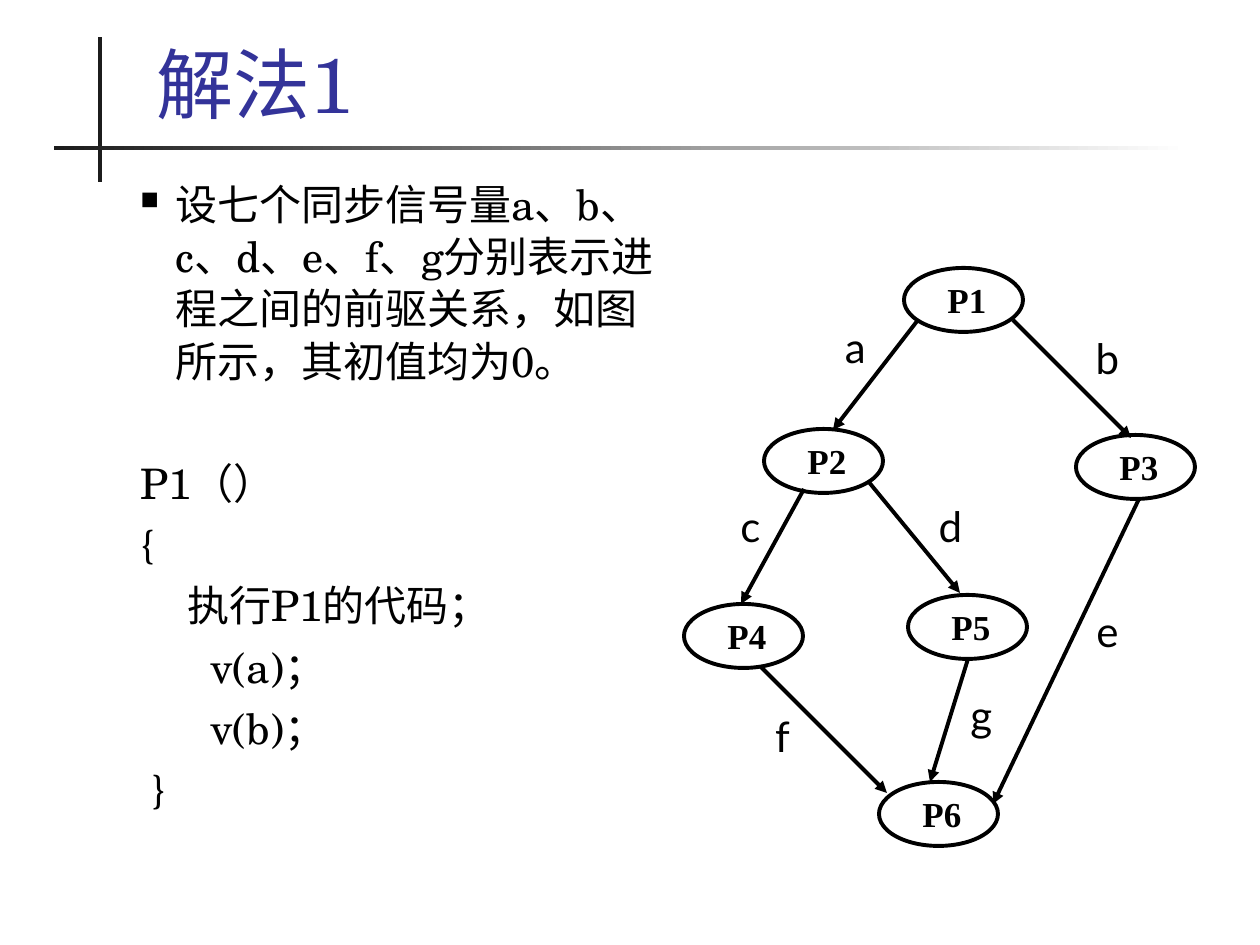
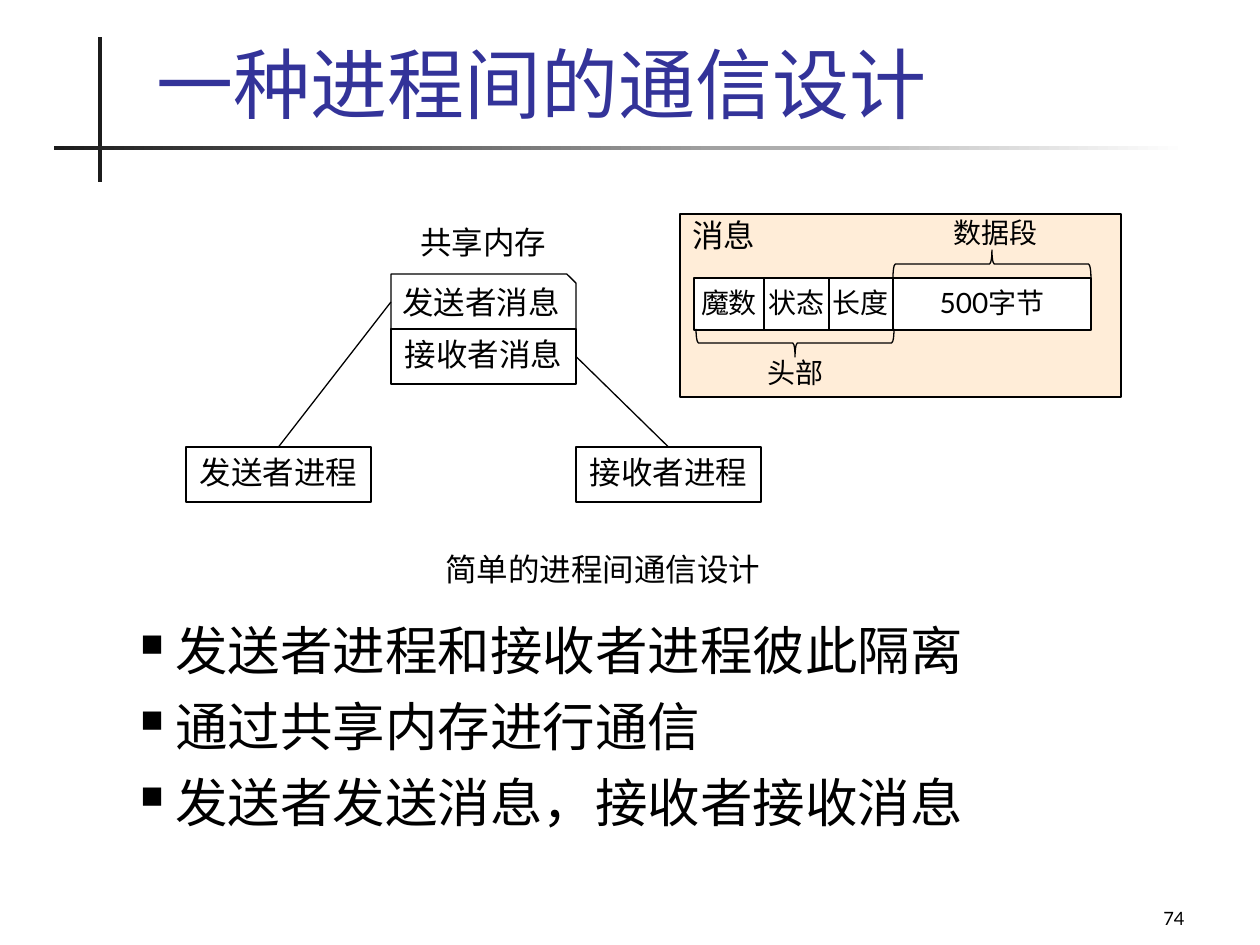
from lxml import etree
from pptx import Presentation
from pptx import util as u
from pptx.dml.color import RGBColor
from pptx.enum import lang, shapes, text
from pptx.oxml import ns

PX = 7257  # EMU in one px, 126 px to the inch
HUES = {"ink": "000000", "bar": "1C1C1C", "title": "333399",
        "paper": "FFFFFF", "cream": "FFEDD8"}
SERIF, SANS, ROMAN = "TeX Gyre Schola", "Lato", "Times New Roman"
KIND = shapes.MSO_SHAPE
ALIGN = text.PP_ALIGN
ANCHOR = text.MSO_ANCHOR


def px(*nums):
    return [u.Emu(n * PX) for n in nums]


def hue(name):
    return RGBColor.from_string(HUES[name])


def sub(node, tag, **attrs):
    return etree.SubElement(node, ns.qn(tag), attrs)


# Text

def add_run(para, words, size, face=SANS, color="ink", bold=False):
    run = para.add_run()
    run.text = words
    font = run.font
    font.size, font.name, font.bold = u.Pt(size), face, bold
    font.color.rgb = hue(color)
    font.language_id = lang.MSO_LANGUAGE_ID.SIMPLIFIED_CHINESE


def set_frame(shape, anchor=ANCHOR.TOP, wrap=True, inset=None):
    frame = shape.text_frame
    frame.word_wrap = wrap
    frame.auto_size = text.MSO_AUTO_SIZE.NONE
    frame.vertical_anchor = anchor
    if inset is not None:
        (frame.margin_left, frame.margin_top,
         frame.margin_right, frame.margin_bottom) = px(*inset)
    return frame


def add_text(slide, box, words, size, align=ALIGN.LEFT, **frame):
    shape = slide.shapes.add_textbox(*px(*box))
    para = set_frame(shape, **frame).paragraphs[0]
    para.alignment = align
    add_run(para, words, size)


def add_body(slide, box, items, size):
    """Each item is (words, has a bullet, space before in points)."""
    frame = set_frame(slide.shapes.add_textbox(*px(*box)))
    for i, (words, bullet, gap) in enumerate(items):
        para = frame.add_paragraph() if i else frame.paragraphs[0]
        props = para._p.get_or_add_pPr()
        props.set("marL", str(35 * PX))
        props.set("indent", str(-35 * PX))
        if bullet:
            sub(sub(props, "a:buClr"), "a:srgbClr", val=HUES["ink"])
            sub(props, "a:buSzPct", val="60000")
            sub(props, "a:buChar", char="■")
        else:
            para.alignment = ALIGN.JUSTIFY
        para.line_spacing = 1.04
        if i:
            para.space_before = u.Pt(gap)
        add_run(para, words, size, SERIF)


# Shapes and lines

def add_shape(slide, kind, box, fill=None, width=0.75):
    shape = slide.shapes.add_shape(kind, *px(*box))
    shape.shadow.inherit = False
    if fill:
        shape.fill.solid()
        shape.fill.fore_color.rgb = hue(fill)
    else:
        shape.fill.background()
    if width:
        shape.line.color.rgb = hue("ink")
        shape.line.width = u.Pt(width)
    else:
        shape.line.fill.background()
    return shape


def add_box(slide, box, words, size=18, kind=KIND.RECTANGLE, fill=None,
            align=ALIGN.CENTER, anchor=ANCHOR.MIDDLE):
    shape = add_shape(slide, kind, box, fill)
    para = set_frame(shape, anchor, wrap=False).paragraphs[0]
    para.alignment, para.line_spacing = align, 0.9
    add_run(para, words, size)
    return shape


def add_node(slide, name, left, top):
    shape = add_shape(slide, KIND.OVAL, (left, top, 119, 64), "paper", 2.25)
    para = set_frame(shape, ANCHOR.MIDDLE, inset=(7, 0, 0, 0)).paragraphs[0]
    para.alignment = ALIGN.CENTER
    add_run(para, name, 20, ROMAN, bold=True)


def add_line(slide, start, end, width=0.75, arrow=False):
    line = slide.shapes.add_connector(
        shapes.MSO_CONNECTOR.STRAIGHT, *px(*start, *end))
    line.line.color.rgb = hue("ink")
    line.line.width = u.Pt(width)
    if arrow:
        sub(line.line._get_or_add_ln(), "a:tailEnd", type="triangle")
    sub(line._element.spPr, "a:effectLst")
    return line


def add_brace(slide, mid, turn):
    x, y = mid
    long, thin = 198, 28
    box = (x - thin // 2, y - long // 2, thin, long)
    add_shape(slide, KIND.RIGHT_BRACE, box).rotation = turn


# Shared slide frame

def add_slide(deck, words):
    slide = deck.slides.add_slide(deck.slide_layouts[5])
    add_shape(slide, KIND.RECTANGLE, (98, 37, 4, 145), "bar", 0)
    rule = add_shape(slide, KIND.RECTANGLE, (54, 146, 1134, 4), "bar", 0)
    rule.fill.gradient()
    rule.fill.gradient_angle = 0
    for stop, name in zip(rule.fill.gradient_stops, ("bar", "paper")):
        stop.color.rgb = hue(name)
    title = slide.shapes.title
    title.left, title.top, title.width, title.height = px(144, 31, 1082, 104)
    para = set_frame(title, ANCHOR.BOTTOM).paragraphs[0]
    para.alignment = ALIGN.LEFT
    add_run(para, words, 44, SERIF, "title")
    return slide


def add_graph(slide):
    nodes = {"P1": (904, 268), "P2": (764, 429), "P3": (1076, 435),
             "P4": (684, 604), "P5": (908, 595), "P6": (879, 782)}
    for name, spot in nodes.items():
        add_node(slide, name, *spot)
    # label: start, end, corner of the label
    edges = {"a": ((918, 320), (833, 430), (824, 320)),
             "b": ((1013, 320), (1131, 438), (1076, 331)),
             "c": ((804, 489), (741, 604), (719, 499)),
             "d": ((868, 481), (960, 593), (919, 499)),
             "e": ((1139, 499), (993, 804), (1076, 604)),
             "f": ((761, 667), (887, 793), (751, 709)),
             "g": ((968, 659), (930, 782), (950, 688))}
    for name, (start, end, spot) in edges.items():
        add_line(slide, start, end, 2.25, arrow=True)
        add_text(slide, (*spot, 63, 53), name, 24, ALIGN.CENTER,
                 anchor=ANCHOR.MIDDLE, inset=(0, 0, 0, 0))


def add_memory(slide):
    wide, high = 185, 55
    add_text(slide, (408, 217, 163, 52), "共享内存", 18)
    add_box(slide, (391, 274, wide, high), "发送者消息",
            kind=KIND.SNIP_1_RECTANGLE)
    inbox = add_box(slide, (391, 329, wide, high), "接收者消息")
    sender = add_box(slide, (186, 447, wide, high), "发送者进程")
    taker = add_box(slide, (576, 447, wide, high), "接收者进程")
    line = add_line(slide, (391, 302), (278, 447))
    line.end_connect(sender, 0)
    line = add_line(slide, (576, 357), (668, 447))
    line.begin_connect(inbox, 3)
    line.end_connect(taker, 0)
    add_text(slide, (433, 544, 363, 50), "简单的进程间通信设计", 18)


def add_message(slide):
    add_box(slide, (680, 214, 441, 183), "消息", fill="cream",
            align=ALIGN.LEFT, anchor=ANCHOR.TOP)
    left = 694
    for words, wide in (("魔数", 70), ("状态", 65), ("长度", 64),
                        ("500字节", 198)):
        add_box(slide, (left, 278, wide, 52), words, 16, fill="paper")
        left += wide
    add_brace(slide, (992, 264), 270)
    add_brace(slide, (795, 343), 90)
    add_text(slide, (941, 209, 121, 47), "数据段", 16)
    add_text(slide, (755, 349, 92, 47), "头部", 16)


def main():
    deck = Presentation()
    deck.slide_width, deck.slide_height = px(1260, 945)

    # Semaphores between processes
    slide = add_slide(deck, "解法1")
    intro = ("设七个同步信号量a、b、c、d、e、f、g分别表示进程之间的前驱关系，"
             "如图所示，其初值均为0。")
    code = ["{", "     执行P1的代码；", "      v(a)；", "      v(b)；", " }"]
    items = [(intro, True, 0), ("P1（）", False, 40)]
    items += [(row, False, 5) for row in code]
    add_body(slide, (128, 170, 541, 702), items, 24)
    add_graph(slide)

    # Messages through shared memory
    slide = add_slide(deck, "一种进程间的通信设计")
    points = ["发送者进程和接收者进程彼此隔离", "通过共享内存进行通信",
              "发送者发送消息，接收者接收消息"]
    add_body(slide, (128, 609, 1071, 237), [(p, True, 6) for p in points], 30)
    add_memory(slide)
    add_message(slide)
    add_text(slide, (935, 872, 262, 63), "74", 10.5, ALIGN.RIGHT,
             anchor=ANCHOR.BOTTOM)

    deck.save("out.pptx")


if __name__ == "__main__":
    main()
